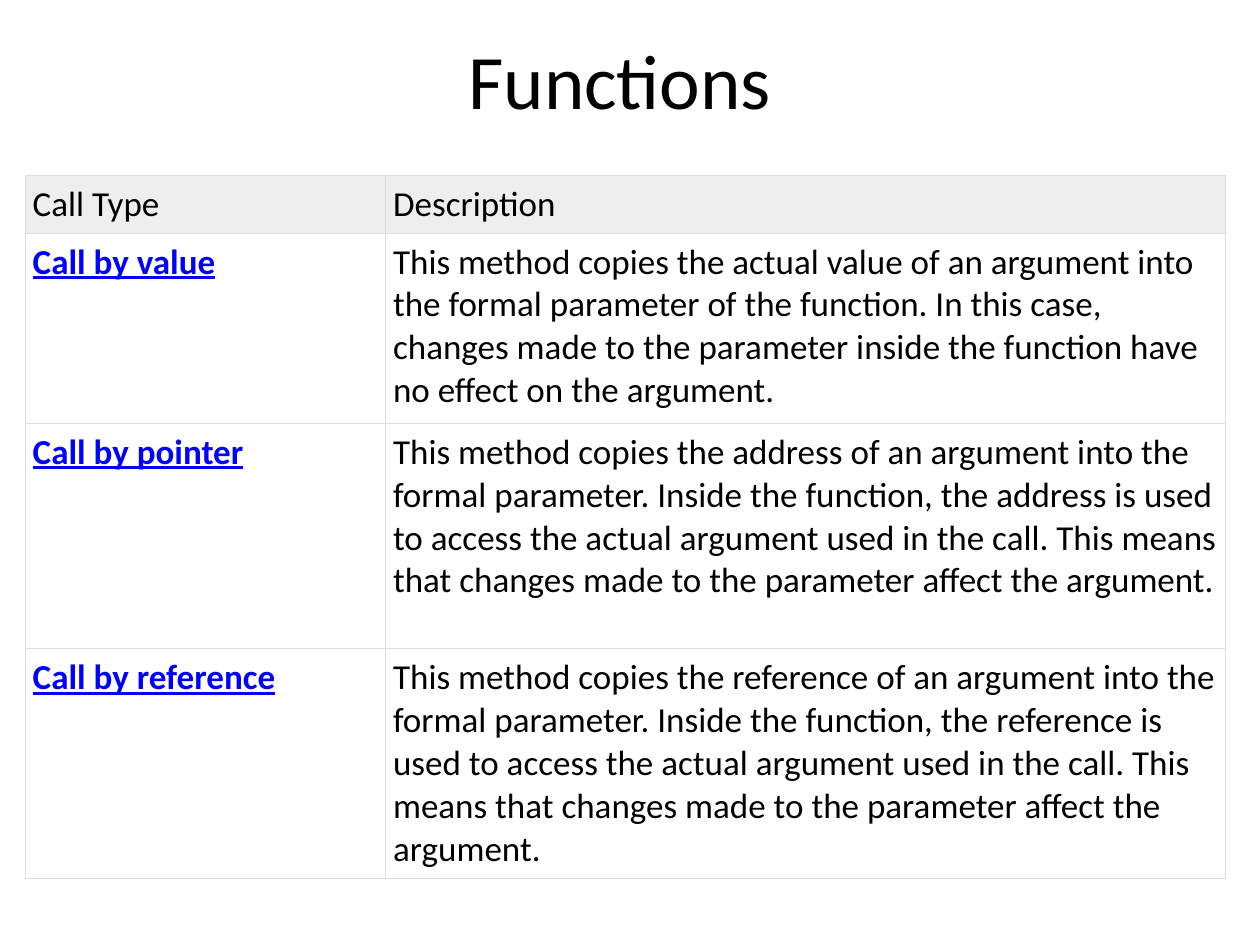
from lxml import etree
from pptx import Presentation
from pptx.dml.color import RGBColor
from pptx.enum import text
from pptx.oxml import ns
from pptx.util import Inches, Pt

BLACK = RGBColor(0x00, 0x00, 0x00)
LINK_BLUE = RGBColor(0x00, 0x00, 0xFF)
HEADER_GREY = RGBColor(0xEE, 0xEE, 0xEE)
BORDER_GREY = RGBColor(0xDD, 0xDD, 0xDD)
FONT = "Calibri"

COLUMN_WIDTHS = (2.86, 6.67)
ROW_HEIGHTS = (0.46, 1.51, 1.79, 1.79)
CALL_TYPES = [
    ("Call Type", "Description"),
    ("Call by value",
     "This method copies the actual value of an argument into the formal "
     "parameter of the function. In this case, changes made to the parameter "
     "inside the function have no effect on the argument."),
    ("Call by pointer",
     "This method copies the address of an argument into the formal parameter. "
     "Inside the function, the address is used to access the actual argument "
     "used in the call. This means that changes made to the parameter affect "
     "the argument."),
    ("Call by reference",
     "This method copies the reference of an argument into the formal "
     "parameter. Inside the function, the reference is used to access the "
     "actual argument used in the call. This means that changes made to the "
     "parameter affect the argument."),
]


def set_font(para, size, color=BLACK):
    para.font.name = FONT
    para.font.size = Pt(size)
    para.font.color.rgb = color


def add_borders(cell):
    """Draw a thin line on all four sides; lines come before the cell's fill."""
    properties = cell._tc.get_or_add_tcPr()
    for index, side in enumerate(("lnL", "lnR", "lnT", "lnB")):
        line = etree.Element(ns.qn(f"a:{side}"), w=str(Pt(0.75)))
        fill = etree.SubElement(line, ns.qn("a:solidFill"))
        etree.SubElement(fill, ns.qn("a:srgbClr"), val=str(BORDER_GREY))
        properties.insert(index, line)


def place_title(page, left, top, width, height):
    title = page.shapes.title
    title.left, title.top, title.width, title.height = left, top, width, height
    frame = title.text_frame
    frame.text = "Functions"
    frame.vertical_anchor = text.MSO_ANCHOR.MIDDLE
    para = frame.paragraphs[0]
    para.alignment = text.PP_ALIGN.CENTER
    set_font(para, 44)


def fill_cell(cell, words, is_header, is_link):
    cell.text = words
    cell.margin_left = cell.margin_right = Inches(0.06)
    cell.margin_top = cell.margin_bottom = Inches(0.06)
    para = cell.text_frame.paragraphs[0]
    set_font(para, 20, LINK_BLUE if is_link else BLACK)
    para.font.bold = para.font.underline = is_link
    if is_link:
        para.alignment = text.PP_ALIGN.JUSTIFY
    if is_header:
        cell.fill.solid()
        cell.fill.fore_color.rgb = HEADER_GREY
    else:
        cell.fill.background()
    add_borders(cell)


def place_call_table(page, left, top, width, height):
    table = page.shapes.add_table(
        len(CALL_TYPES), len(COLUMN_WIDTHS), left, top, width, height).table
    table.first_row = table.horz_banding = False
    for column, column_width in zip(table.columns, COLUMN_WIDTHS):
        column.width = Inches(column_width)
    for row, row_height in zip(table.rows, ROW_HEIGHTS):
        row.height = Inches(row_height)
    for r, entry in enumerate(CALL_TYPES):
        for c, words in enumerate(entry):
            fill_cell(table.cell(r, c), words,
                      is_header=r == 0, is_link=r > 0 and c == 0)


def main():
    deck = Presentation()
    deck.slide_width, deck.slide_height = Inches(10), Inches(7.5)
    page = deck.slides.add_slide(deck.slide_layouts[5])  # title only

    # Heading
    place_title(page, Inches(0.67), Inches(0), Inches(8.5), Inches(1.25))
    # Call types and what they do
    place_call_table(page, Inches(0.2), Inches(1.39),
                     Inches(sum(COLUMN_WIDTHS)), Inches(sum(ROW_HEIGHTS)))

    deck.save("out.pptx")


if __name__ == "__main__":
    main()
